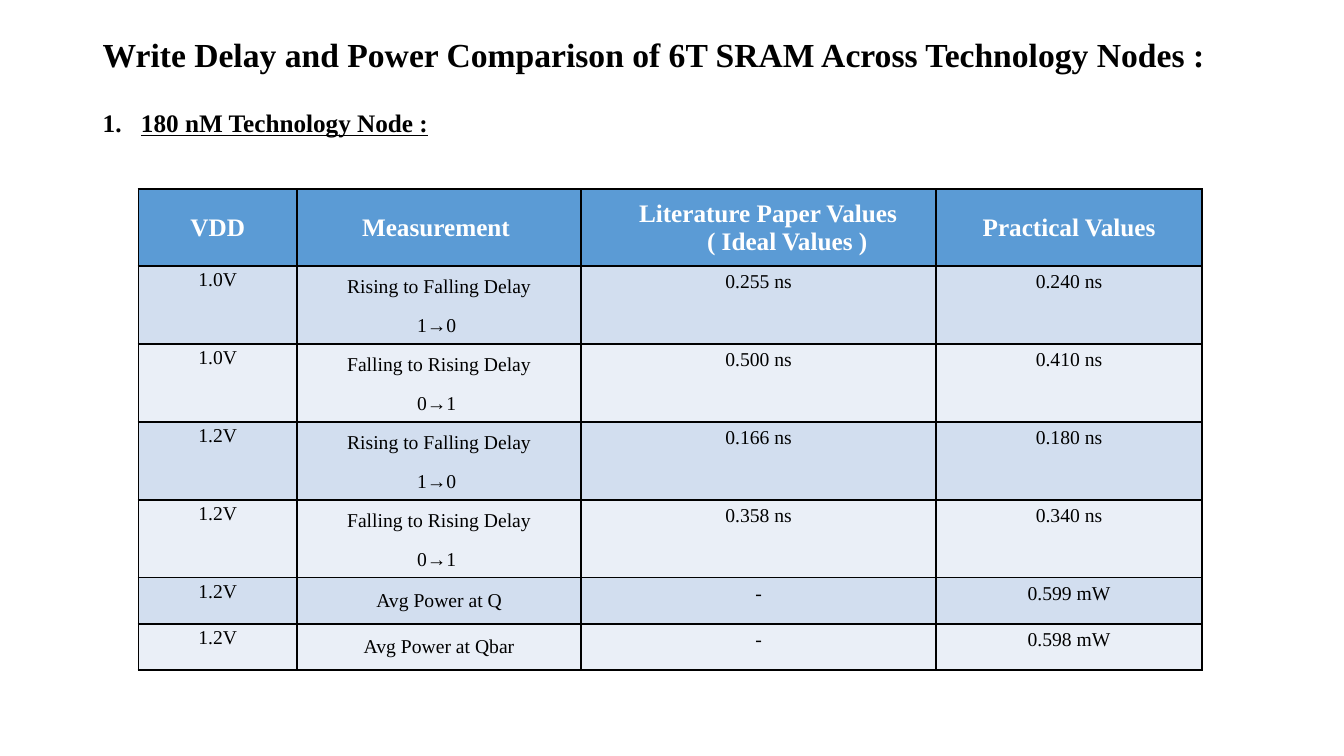
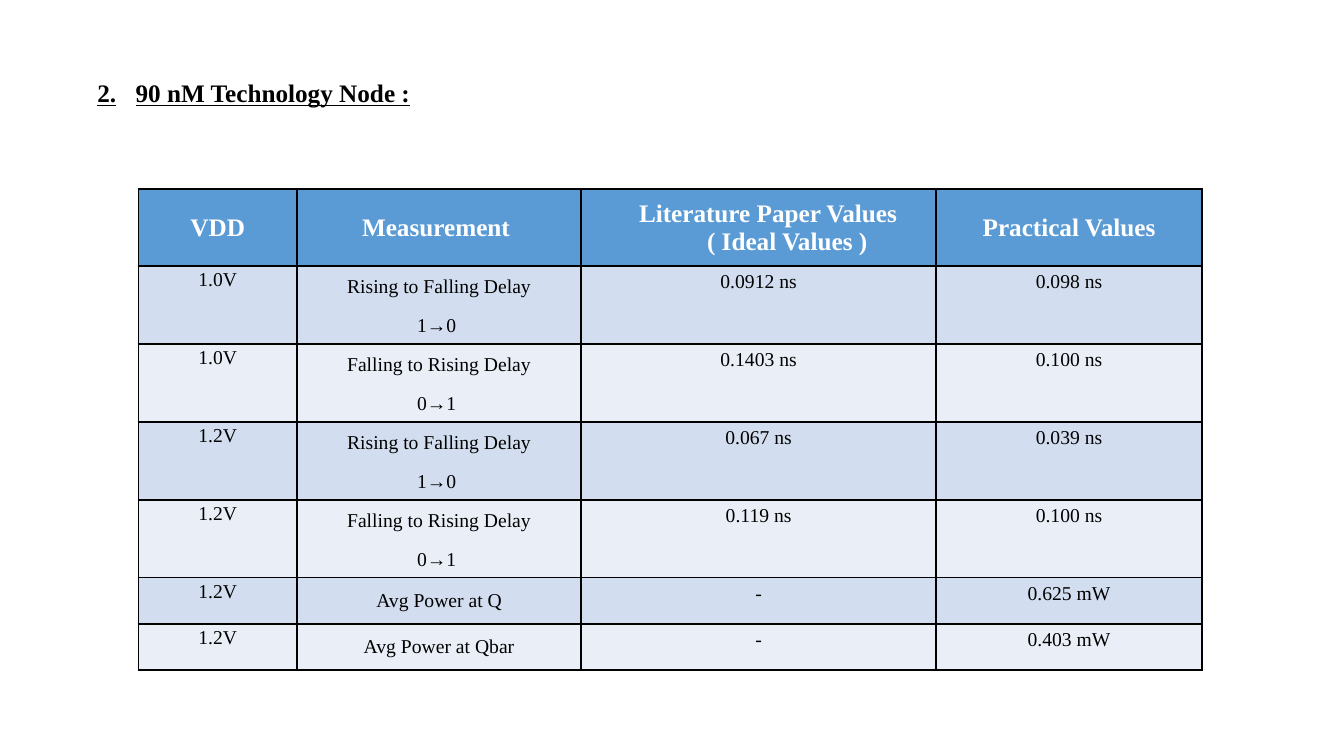
from dataclasses import dataclass

from lxml import etree
from pptx import Presentation
from pptx.dml.color import RGBColor
from pptx.enum.text import MSO_ANCHOR, MSO_AUTO_SIZE, PP_ALIGN
from pptx.oxml.ns import qn
from pptx.util import Inches, Pt

TOP, MIDDLE = MSO_ANCHOR.TOP, MSO_ANCHOR.MIDDLE
LEFT, CENTER = PP_ALIGN.LEFT, PP_ALIGN.CENTER
GROW = MSO_AUTO_SIZE.SHAPE_TO_FIT_TEXT


@dataclass(frozen=True)
class Theme:
    font: str = "Times New Roman"
    ink: str = "000000"
    paper: str = "FFFFFF"
    header: str = "5B9BD5"
    bands: tuple = ("D2DEEF", "EAEFF7")
    title: int = 24
    heading: int = 18
    body: int = 14
    border: float = 1.5
    loose_line: float = 1.14
    loose_after: int = 10


class Deck:
    def __init__(self, theme):
        self.theme = theme
        self.prs = Presentation()
        self.prs.slide_width = Inches(13.33)
        self.prs.slide_height = Inches(7.5)
        self.s = None

    def x(self, percent):
        return round(self.prs.slide_width * percent / 100)

    def y(self, percent):
        return round(self.prs.slide_height * percent / 100)

    def slide(self):
        self.s = self.prs.slides.add_slide(self.prs.slide_layouts[6])

    def run(self, p, text, size, color=None, bold=True, underline=False):
        r = p.add_run()
        r.text = text
        r.font.name = self.theme.font
        r.font.size = Pt(size)
        r.font.bold = bold
        r.font.underline = underline
        r.font.color.rgb = RGBColor.from_string(color or self.theme.ink)

    def indent(self, p, left, first=0):
        pPr = p._p.get_or_add_pPr()
        pPr.set("marL", str(self.x(left)))
        pPr.set("indent", str(self.x(first)))
        return pPr

    def box(self, left, top, width, height):
        sp = self.s.shapes.add_textbox(
            self.x(left), self.y(top), self.x(width), self.y(height))
        tf = sp.text_frame
        tf.word_wrap = True
        p = tf.paragraphs[0]
        p.alignment = LEFT
        return tf, p

    def title(self, text):
        tf, p = self.box(6.9, 0.1, 91.2, 14.7)
        tf.vertical_anchor = MIDDLE
        p.line_spacing = 0.9
        self.run(p, text, self.theme.title)

    def heading(self, text, left, top, typed_number=None):
        tf, p = self.box(left, top, 33.3, 5.3)
        tf.auto_size = GROW
        pPr = self.indent(p, 2.85, -2.85)
        size = self.theme.heading
        if typed_number:
            self.run(p, typed_number, size, underline=True)
            self.run(p, "\t", size)
        else:
            etree.SubElement(pPr, qn("a:buAutoNum"), type="arabicPeriod")
        self.run(p, text, size, underline=True)

    def borders(self, cell):
        tcPr = cell._tc.get_or_add_tcPr()
        for side in ("a:lnL", "a:lnR", "a:lnT", "a:lnB"):
            ln = etree.SubElement(tcPr, qn(side), w=str(Pt(self.theme.border)))
            fill = etree.SubElement(ln, qn("a:solidFill"))
            etree.SubElement(fill, qn("a:srgbClr"), val=self.theme.ink)

    def cell(self, cell, lines, fill, anchor=TOP, header=False,
             tight=False, loose=False, indents=()):
        t = self.theme
        self.borders(cell)
        cell.fill.solid()
        cell.fill.fore_color.rgb = RGBColor.from_string(fill)
        cell.vertical_anchor = anchor
        if tight:
            cell.margin_left = cell.margin_right = Inches(0.07)
            cell.margin_top = cell.margin_bottom = 0
        tf = cell.text_frame
        for i, text in enumerate(lines):
            p = tf.add_paragraph() if i else tf.paragraphs[0]
            p.alignment = CENTER
            if indents:
                self.indent(p, indents[i])
            if loose:
                p.line_spacing = t.loose_line
                p.space_after = Pt(t.loose_after)
            self.run(p, text, t.heading if header else t.body,
                     t.paper if header else t.ink, bold=header)

    def table(self, columns, rows, values):
        widths = (11.8, 21.15, 26.4, 19.8)
        heights = [10.2] + [10.3 if len(lines) > 1 else 6.1 for _, lines in rows]
        tb = self.s.shapes.add_table(
            len(heights), len(widths), self.x(10.3), self.y(25),
            self.x(sum(widths)), self.y(sum(heights))).table
        for column, width in zip(tb.columns, widths):
            column.width = self.x(width)
        for row, height in zip(tb.rows, heights):
            row.height = self.y(height)
        for c, (lines, indents) in enumerate(columns):
            self.cell(tb.cell(0, c), lines, self.theme.header, MIDDLE,
                      header=True, indents=indents)
        for i, ((vdd, lines), pair) in enumerate(zip(rows, values)):
            band = self.theme.bands[i % 2]
            row = tb.rows[i + 1].cells
            self.cell(row[0], [vdd], band, tight=True, loose=True)
            self.cell(row[1], lines, band, MIDDLE, tight=True,
                      loose=len(lines) > 1)
            for c, value in enumerate(pair, 2):
                self.cell(row[c], [value], band)


COLUMNS = [
    (["VDD"], ()),
    (["Measurement "], ()),
    (["Literature Paper Values", "( Ideal Values )"], (1.4, 4.25)),
    (["Practical Values"], ()),
]
FALLING = ["Rising to Falling Delay", "1→0 "]
RISING = ["Falling to Rising Delay", "0→1 "]
ROWS = [
    ("1.0V", FALLING),
    ("1.0V", RISING),
    ("1.2V", FALLING),
    ("1.2V", RISING),
    ("1.2V", ["Avg Power at Q"]),
    ("1.2V", ["Avg Power at Qbar"]),
]
NODE_180 = [
    ("0.255 ns", "0.240 ns"),
    ("0.500 ns", "0.410 ns"),
    ("0.166 ns", "0.180 ns"),
    ("0.358 ns", "0.340 ns"),
    ("-", "0.599 mW"),
    ("-", "0.598 mW"),
]
NODE_90 = [
    ("0.0912 ns", "0.098 ns"),
    ("0.1403 ns", "0.100 ns"),
    ("0.067 ns", "0.039 ns"),
    ("0.119 ns", "0.100 ns"),
    ("-", "0.625 mW"),
    ("-", "0.403 mW"),
]


def main():
    deck = Deck(Theme())

    deck.slide()
    deck.title("Write Delay and Power Comparison of 6T SRAM Across Technology Nodes :")
    deck.heading("180 nM Technology Node :", 6.9, 13.6)
    deck.table(COLUMNS, ROWS, NODE_180)

    deck.slide()
    deck.heading("90 nM Technology Node :", 6.5, 9.6, typed_number="2.")
    deck.table(COLUMNS, ROWS, NODE_90)

    deck.prs.save("out.pptx")


if __name__ == "__main__":
    main()
